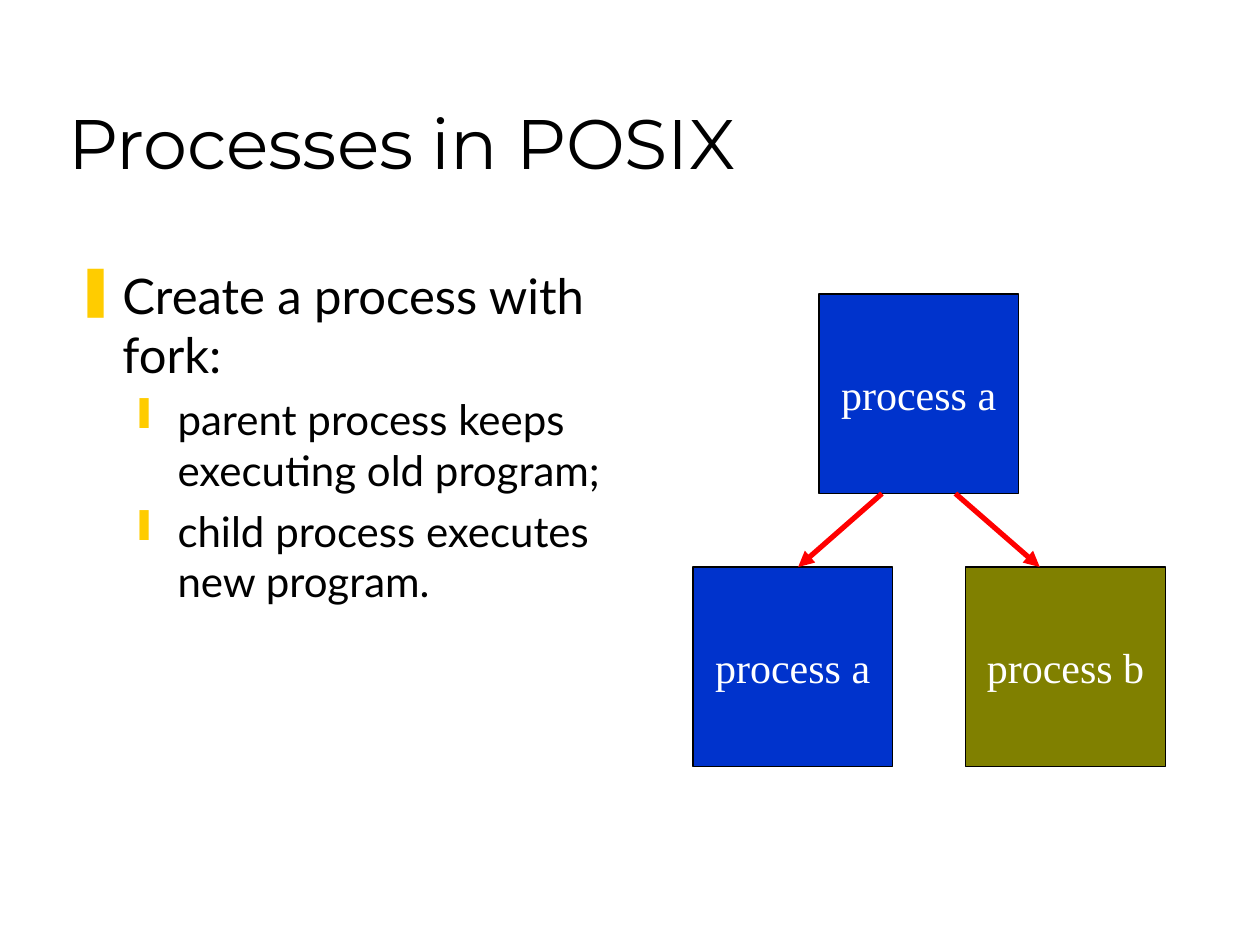
from typing import NamedTuple

from pptx import Presentation
from pptx.dml.color import RGBColor
from pptx.enum.shapes import MSO_CONNECTOR as Connector, MSO_SHAPE as Shape
from pptx.enum.text import MSO_ANCHOR as Anchor, PP_ALIGN as Align
from pptx.oxml.ns import qn
from pptx.util import Cm, Pt
from lxml.etree import SubElement

COLORS = {
    "text": "000000",
    "bullet": "FFCC00",
    "parent": "0033CC",
    "child": "808000",
    "label": "FFFFFF",
    "arrow": "FF0000",
}
BOX_SIZE = 4.02  # side of each process square, cm
PARENT_TOP, CHILD_TOP = 5.93, 11.43
PARENT_BOTTOM = PARENT_TOP + BOX_SIZE


class Process(NamedTuple):
    label: str
    left: float
    top: float
    fill: str


class Arrow(NamedTuple):
    start_x: float
    end_x: float


class Bullet(NamedTuple):
    text: str
    level: int
    size: float
    symbol: str
    margin: float
    hanging: float
    space_before: float


PROCESSES = [
    Process("process a", 16.51, PARENT_TOP, "parent"),
    Process("process a", 13.97, CHILD_TOP, "parent"),
    Process("process b", 19.47, CHILD_TOP, "child"),
]
ARROWS = [Arrow(17.78, 16.09), Arrow(19.26, 20.96)]
BULLETS = [
    Bullet("Create a process with fork:", 0, 28, "❚", 0.95, 0.95, 0),
    Bullet("parent process keeps executing old program;", 1, 24, "❙", 2.06, 0.79, 6),
    Bullet("child process executes new program.", 1, 24, "❙", 2.06, 0.79, 6),
]


def color(name: str) -> RGBColor:
    return RGBColor.from_string(COLORS[name])


def write(paragraph, text: str, *, font: str, size: float,
          fill: str = "text", align=Align.LEFT) -> None:
    paragraph.alignment = align
    run = paragraph.add_run()
    run.text = text
    run.font.name = font
    run.font.size = Pt(size)
    run.font.color.rgb = color(fill)


def add_title(slide, text: str) -> None:
    title = slide.shapes.title
    title.left, title.top, title.width, title.height = Cm(1.12), Cm(0.64), Cm(21.59), Cm(3.18)
    title.text_frame.vertical_anchor = Anchor.BOTTOM
    write(title.text_frame.paragraphs[0], text, font="Montserrat", size=40)


def set_bullet(paragraph, bullet: Bullet) -> None:
    properties = paragraph._p.get_or_add_pPr()
    properties.set("marL", str(Cm(bullet.margin)))
    properties.set("indent", str(-Cm(bullet.hanging)))
    bullet_color = SubElement(properties, qn("a:buClr"))
    SubElement(bullet_color, qn("a:srgbClr"), val=COLORS["bullet"])
    SubElement(properties, qn("a:buChar"), char=bullet.symbol)


def add_bullets(slide, bullets: list[Bullet]) -> None:
    frame = slide.shapes.add_textbox(Cm(1.27), Cm(5.23), Cm(11.15), Cm(11.58)).text_frame
    frame.word_wrap = True
    for index, bullet in enumerate(bullets):
        paragraph = frame.add_paragraph() if index else frame.paragraphs[0]
        paragraph.level = bullet.level
        set_bullet(paragraph, bullet)
        paragraph.space_before = Pt(bullet.space_before)
        write(paragraph, bullet.text, font="Lato", size=bullet.size)


def add_process(slide, process: Process) -> None:
    shape = slide.shapes.add_shape(
        Shape.RECTANGLE, Cm(process.left), Cm(process.top), Cm(BOX_SIZE), Cm(BOX_SIZE))
    shape.shadow.inherit = False
    shape.fill.solid()
    shape.fill.fore_color.rgb = color(process.fill)
    shape.line.color.rgb = color("text")
    shape.line.width = Pt(0.75)
    frame = shape.text_frame
    frame.word_wrap = False
    frame.vertical_anchor = Anchor.MIDDLE
    write(frame.paragraphs[0], process.label, font="Times New Roman", size=24,
          fill="label", align=Align.CENTER)


def add_arrow(slide, arrow: Arrow) -> None:
    connector = slide.shapes.add_connector(
        Connector.STRAIGHT, Cm(arrow.start_x), Cm(PARENT_BOTTOM),
        Cm(arrow.end_x), Cm(CHILD_TOP))
    connector.line.color.rgb = color("arrow")
    connector.line.width = Pt(3)
    SubElement(connector.line._get_or_add_ln(), qn("a:tailEnd"), type="triangle")
    SubElement(connector._element.spPr, qn("a:effectLst"))


def main() -> None:
    presentation = Presentation()
    presentation.slide_width, presentation.slide_height = Cm(25.4), Cm(19.05)
    slide = presentation.slides.add_slide(presentation.slide_layouts[5])

    # Title and explanation
    add_title(slide, "Processes in POSIX")
    add_bullets(slide, BULLETS)

    # Fork diagram
    for process in PROCESSES:
        add_process(slide, process)
    for arrow in ARROWS:
        add_arrow(slide, arrow)

    presentation.save("out.pptx")


if __name__ == "__main__":
    main()
